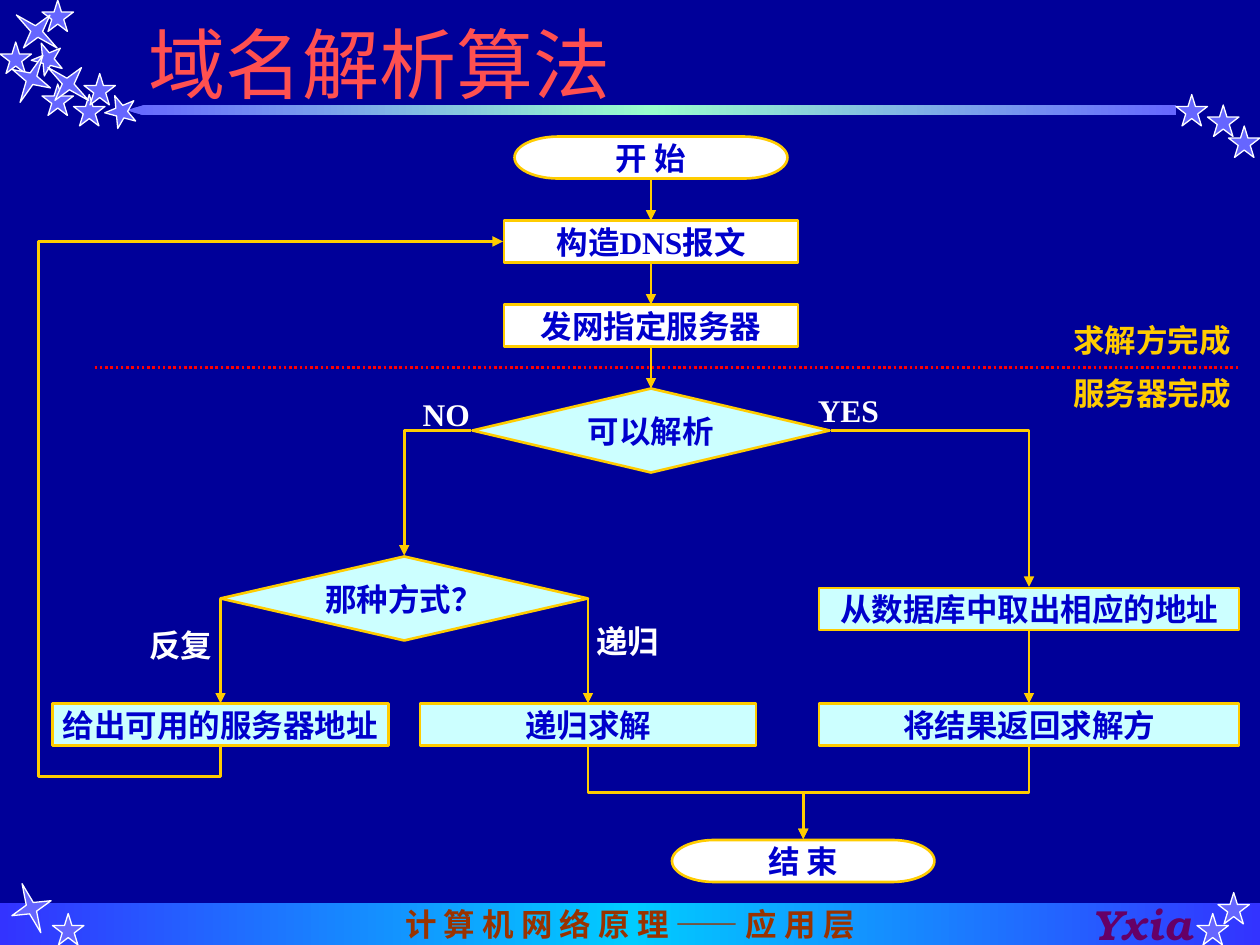
from copy import deepcopy

from pptx import Presentation
from pptx.dml.color import RGBColor
from pptx.enum.dml import MSO_LINE
from pptx.enum.shapes import MSO_CONNECTOR, MSO_SHAPE
from pptx.enum.text import MSO_ANCHOR, PP_ALIGN
from pptx.oxml.ns import qn
from pptx.oxml.xmlchemy import OxmlElement
from pptx.util import Cm, Pt

# Content: positions are in grid units of a twelfth of an inch
GOLD, STAR_BLUE, WHITE = "FFCC00", "6666FF", "FFFFFF"
SERIF, SANS, SCRIPT = "Times New Roman", "Noto Sans CJK JP", "TeX Gyre Bonum"
TERMINATOR, DECISION, RECTANGLE = (
    MSO_SHAPE.FLOWCHART_TERMINATOR, MSO_SHAPE.FLOWCHART_DECISION, MSO_SHAPE.RECTANGLE)
TOP, LEFT, BOTTOM, RIGHT = range(4)

SMALL_STARS = [  # left, top, rotation
    (4, 0, 0), (3, 4, 337.5), (0, 4, 0), (7, 9, 0), (10, 9, 337.5), (112, 9, 0),
    (117, 12, 0), (115, 10, 0), (8, 7, 0), (4, 8, 0), (114, 87, 0), (116, 85, 0),
    (5, 87, 0)]
LONG_STARS = [(1.5, 0.5, 309), (1, 5, 25.8), (1, 84, 339.1), (4.5, 5.5, 309)]
HEADER_BAR = [(112, 10), (13.8, 10), (12, 10.5), (13.8, 11), (112, 11)]

NODES = {  # name: (preset, left, top, width, height, fill, text)
    "start": (TERMINATOR, 49, 13, 26, 4, WHITE, "开 始"),
    "build": (RECTANGLE, 48, 21, 28, 4, WHITE, "构造DNS报文"),
    "send": (RECTANGLE, 48, 29, 28, 4, WHITE, "发网指定服务器"),
    "resolvable": (DECISION, 45, 37, 34, 8, "CCFFFF", "可以解析"),
    "method": (DECISION, 21, 53, 35, 8, "CCFFFF", "那种方式？"),
    "lookup": (RECTANGLE, 78, 56, 40, 4, "CCFFFF", "从数据库中取出相应的地址"),
    "server": (RECTANGLE, 5, 67, 32, 4, "CCFFFF", "给出可用的服务器地址"),
    "recurse": (RECTANGLE, 40, 67, 32, 4, "CCFFFF", "递归求解"),
    "reply": (RECTANGLE, 78, 67, 40, 4, "CCFFFF", "将结果返回求解方"),
    "end": (TERMINATOR, 64, 80, 25, 4, WHITE, "结 束"),
}
STRAIGHT_ARROWS = [  # from, side, to (always its top)
    ("start", BOTTOM, "build"), ("build", BOTTOM, "send"),
    ("send", BOTTOM, "resolvable"), ("method", RIGHT, "recurse"),
    ("method", LEFT, "server"), ("lookup", BOTTOM, "reply")]
BENT_ARROWS = [  # preset, start, end, rotation, flips, adjustments
    ("bentConnector2", (79.1, 41), (98, 55.9), 0, "", ()),
    ("bentConnector2", (44.9, 41), (38.5, 52.9), 180, "V", ()),
    ("bentConnector3", (98, 71.1), (76.5, 79.9), 90, "", (50000,)),
    ("bentConnector3", (56, 71.1), (76.5, 79.9), 270, "H", (50000,)),
    ("bentConnector4", (21, 71.1), (47.9, 23), 90, "HV", (-6000, -64400))]
LABELS = [  # text, left, top, width, colour
    ("YES", 76.3, 36.6, 9, WHITE), ("NO", 38, 37, 9, WHITE),
    ("递归", 55.3, 58.6, 9, WHITE), ("反复", 12.7, 59, 9, WHITE),
    ("求解方完成", 100.7, 30, 18, GOLD), ("服务器完成", 100.7, 35, 18, GOLD)]


def grid(units):
    return Cm(units * 2.54 / 12)


def color(value):
    return RGBColor.from_string(value)


def set_text(shape, text, font_color, name=SERIF, size=18, bold=True, italic=False,
             align=PP_ALIGN.CENTER, anchor=MSO_ANCHOR.MIDDLE, wrap=False):
    frame = shape.text_frame
    frame.word_wrap, frame.vertical_anchor = wrap, anchor
    paragraph = frame.paragraphs[0]
    paragraph.alignment = align
    run = paragraph.add_run()
    run.text = text
    run.font.color.rgb = color(font_color)
    formats = {"name": name, "size": Pt(size), "bold": bold, "italic": italic}
    for attribute, value in formats.items():
        setattr(run.font, attribute, value)
    if name == SANS:
        east_asian = OxmlElement("a:ea")
        east_asian.set("typeface", name)
        run.font._element.append(east_asian)


def add_box(preset, left, top, width, height, fill, line, line_width, rotation=0):
    shape = shapes.add_shape(preset, *map(grid, (left, top, width, height)))
    shape.shadow.inherit = False
    shape.rotation = rotation
    shape.fill.solid()
    shape.fill.fore_color.rgb = color(fill)
    shape.line.color.rgb = color(line)
    shape.line.width = Pt(line_width)
    return shape


def add_text(text, left, top, width, height, font_color, **formats):
    box = shapes.add_textbox(*map(grid, (left, top, width, height)))
    set_text(box, text, font_color, **formats)


def set_band(shape, edge, middle):
    """Horizontal gradient from edge colour through middle and back."""
    shape.shadow.inherit = False
    shape.line.fill.background()
    shape.fill.gradient()
    shape.fill.gradient_angle = 0
    stops = shape._element.spPr.find(qn("a:gradFill")).find(qn("a:gsLst"))
    stops.insert(1, deepcopy(stops[0]))
    for stop, position, value in zip(shape.fill.gradient_stops, (0, 0.5, 1),
                                     (edge, middle, edge)):
        stop.position = position
        stop.color.rgb = color(value)


def style_line(connector, value, arrow=True):
    connector.line.color.rgb = color(value)
    connector.line.width = Pt(1.5)
    if arrow:
        tail = OxmlElement("a:tailEnd")
        tail.set("type", "triangle")
        connector.line._get_or_add_ln().append(tail)
    else:
        connector.line.dash_style = MSO_LINE.ROUND_DOT
    connector._element.spPr.append(OxmlElement("a:effectLst"))


def add_bent_arrow(preset, start, end, rotation, flips, adjustments):
    width, height = abs(end[0] - start[0]), abs(end[1] - start[1])
    if rotation % 180:  # a quarter turn swaps the sides of the frame
        width, height = height, width
    left = (start[0] + end[0] - width) / 2
    top = (start[1] + end[1] - height) / 2
    connector = shapes.add_connector(
        MSO_CONNECTOR.ELBOW, *map(grid, (left, top, left + width, top + height)))
    properties = connector._element.spPr
    transform = properties.find(qn("a:xfrm"))
    transform.set("rot", str(rotation * 60000))
    for flip in flips:
        transform.set("flip" + flip, "1")
    geometry = properties.find(qn("a:prstGeom"))
    geometry.set("prst", preset)
    for number, value in enumerate(adjustments, 1):
        guide = OxmlElement("a:gd")
        guide.set("name", f"adj{number}")
        guide.set("fmla", f"val {value}")
        geometry.find(qn("a:avLst")).append(guide)
    style_line(connector, GOLD)


presentation = Presentation()
presentation.slide_width, presentation.slide_height = grid(120), grid(90)
slide = presentation.slides.add_slide(presentation.slide_layouts[6])
shapes = slide.shapes
slide.background.fill.solid()
slide.background.fill.fore_color.rgb = color("000099")

# Footer and header bands
footer = shapes.add_shape(RECTANGLE, *map(grid, (0, 86, 120, 4)))
set_band(footer, "3333FF", "00CCFF")
set_text(footer, "计 算 机 网 络 原 理 —— 应 用 层", "993300", name=SANS)
corners = [(grid(x), grid(y)) for x, y in HEADER_BAR]
builder = shapes.build_freeform(*corners[0])
builder.add_line_segments(corners[1:], close=True)
set_band(builder.convert_to_shape(), STAR_BLUE, "99FFCC")

# Stars
for preset, width, height, stars in ((MSO_SHAPE.STAR_5_POINT, 3, 3, SMALL_STARS),
                                     (MSO_SHAPE.STAR_4_POINT, 4, 5, LONG_STARS)):
    for left, top, rotation in stars:
        add_box(preset, left, top, width, height, STAR_BLUE, WHITE, 0.75, rotation)

# Signature and title
add_text("Yxia", 103, 87, 14, 2, "660066", name=SCRIPT, size=24, italic=True,
         align=PP_ALIGN.LEFT)
add_text("域名解析算法", 13, 3, 100, 8, "FF5050", size=44, bold=False,
         align=PP_ALIGN.LEFT, anchor=MSO_ANCHOR.BOTTOM, wrap=True)

# Flowchart nodes and arrows
nodes = {}
for name, (preset, left, top, width, height, fill, text) in NODES.items():
    nodes[name] = add_box(preset, left, top, width, height, fill, GOLD, 1.5)
    set_text(nodes[name], text, "0000CC")
for source, side, target in STRAIGHT_ARROWS:
    arrow = shapes.add_connector(MSO_CONNECTOR.STRAIGHT, 0, 0, 0, 0)
    arrow.begin_connect(nodes[source], side)
    arrow.end_connect(nodes[target], TOP)
    style_line(arrow, GOLD)
for bent_arrow in BENT_ARROWS:
    add_bent_arrow(*bent_arrow)

# Divider between the two parties, and labels
divider = shapes.add_connector(MSO_CONNECTOR.STRAIGHT, *map(grid, (9, 35, 118, 35)))
style_line(divider, "FF0000", arrow=False)
for text, left, top, width, label_color in LABELS:
    add_text(text, left, top, width, 4.8, label_color)

presentation.save("out.pptx")
